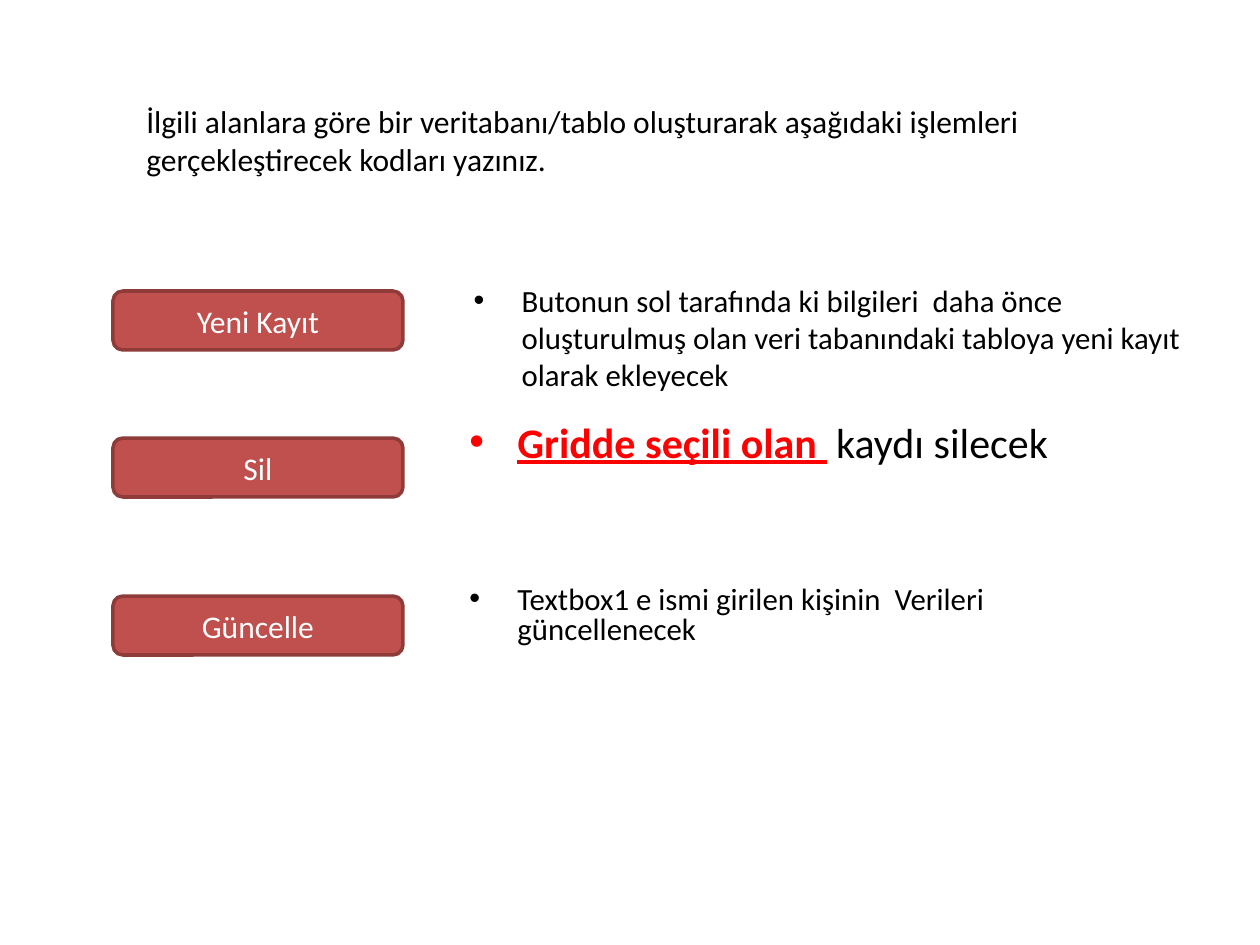
from dataclasses import dataclass
from lxml import etree
from pptx import Presentation
from pptx.dml.color import RGBColor
from pptx.enum.shapes import MSO_SHAPE
from pptx.enum.text import MSO_ANCHOR, MSO_AUTO_SIZE, PP_ALIGN
from pptx.oxml.ns import qn
from pptx.util import Inches, Pt

ROUNDED = MSO_SHAPE.ROUNDED_RECTANGLE
MIDDLE = MSO_ANCHOR.MIDDLE
CENTER = PP_ALIGN.CENTER
NO_FIT = MSO_AUTO_SIZE.NONE
GROW = MSO_AUTO_SIZE.SHAPE_TO_FIT_TEXT
SCALE = Inches(1) / 126


@dataclass(frozen=True)
class Theme:
    """Colours, font and type sizes of the slide."""
    font: str = "Calibri"
    bullet_font: str = "Arial"
    text: str = "000000"
    accent: str = "FF0000"
    button: str = "C0504D"
    button_line: str = "8E3B39"
    button_text: str = "FFFFFF"
    size: float = 18
    note_size: float = 17.6
    big_size: float = 24


THEME = Theme()


def px(n):
    """Turn picture pixels into EMU."""
    return round(n * SCALE)


def place(sp, box):
    """Move a shape to a pixel box."""
    for name, n in zip(("left", "top", "width", "height"), box):
        setattr(sp, name, px(n))


def add_run(p, text, color=THEME.text, **formats):
    """Add a run with the given font values."""
    r = p.add_run()
    r.text = text
    for name, value in {"name": THEME.font, **formats}.items():
        setattr(r.font, name, value)
    r.font.color.rgb = RGBColor.from_string(color)


def add_bullet(p, indent=48):
    """Give a paragraph a hanging round bullet."""
    pPr = p._p.get_or_add_pPr()
    pPr.set("marL", str(px(indent)))
    pPr.set("indent", str(-px(indent)))
    etree.SubElement(pPr, qn("a:buFont"), typeface=THEME.bullet_font)
    etree.SubElement(pPr, qn("a:buChar"), char="•")


def add_intro(slide, box):
    """Add the task statement."""
    sp = slide.shapes.add_textbox(*map(px, box))
    tf = sp.text_frame
    tf.word_wrap = True
    tf.auto_size = GROW
    add_run(tf.paragraphs[0], "İlgili alanlara göre bir veritabanı/tablo oluşturarak "
            "aşağıdaki işlemleri gerçekleştirecek kodları yazınız.", size=Pt(THEME.size))


def add_button(slide, box, label):
    """Add a rounded button with a centred label."""
    sp = slide.shapes.add_shape(ROUNDED, *map(px, box))
    sp.shadow.inherit = False
    sp.fill.solid()
    sp.fill.fore_color.rgb = RGBColor.from_string(THEME.button)
    sp.line.color.rgb = RGBColor.from_string(THEME.button_line)
    sp.line.width = Pt(2)
    tf = sp.text_frame
    tf.vertical_anchor = MIDDLE
    p = tf.paragraphs[0]
    p.alignment = CENTER
    add_run(p, label, THEME.button_text, size=Pt(THEME.size))


def fill_note(sp, box, size, runs, spacing=None):
    """Place a bulleted note and write its runs."""
    place(sp, box)
    tf = sp.text_frame
    tf.word_wrap = True
    tf.auto_size = NO_FIT
    p = tf.paragraphs[0]
    p.line_spacing = spacing
    p.space_before = Pt(round(size * 0.2, 1))
    add_bullet(p)
    for text, formats in runs:
        add_run(p, text, size=Pt(size), **formats)


def build_slide(prs):
    """Build the task slide with its three button rows."""
    slide = prs.slides.add_slide(prs.slide_layouts[1])
    title, body = slide.placeholders
    title._element.getparent().remove(title._element)
    add_intro(slide, (134, 96, 1043, 89))

    red = {"color": THEME.accent, "bold": True}
    rows = [
        ("Yeni Kayıt", 291, (461, 275, 753, 106), THEME.note_size,
         [("Butonun sol tarafında ki bilgileri  daha önce oluşturulmuş olan "
           "veri tabanındaki tabloya yeni kayıt olarak ekleyecek", {})], None),
        ("Sil", 438, (457, 410, 753, 74), THEME.big_size,
         [("Gridde seçili olan ", {**red, "underline": True}),
          (" ", red), ("kaydı silecek", {})], None),
        ("Güncelle", 596, (457, 581, 694, 74), THEME.note_size,
         [("Textbox1 e ismi girilen kişinin  Verileri güncellenecek", {})], 0.8),
    ]
    for i, (label, top, box, size, runs, spacing) in enumerate(rows):
        add_button(slide, (113, top, 290, 59), label)
        sp = slide.shapes.add_textbox(0, 0, 0, 0) if i else body
        fill_note(sp, box, size, runs, spacing)


prs = Presentation()
prs.slide_width, prs.slide_height = px(1260), px(945)
build_slide(prs)
prs.save("out.pptx")
